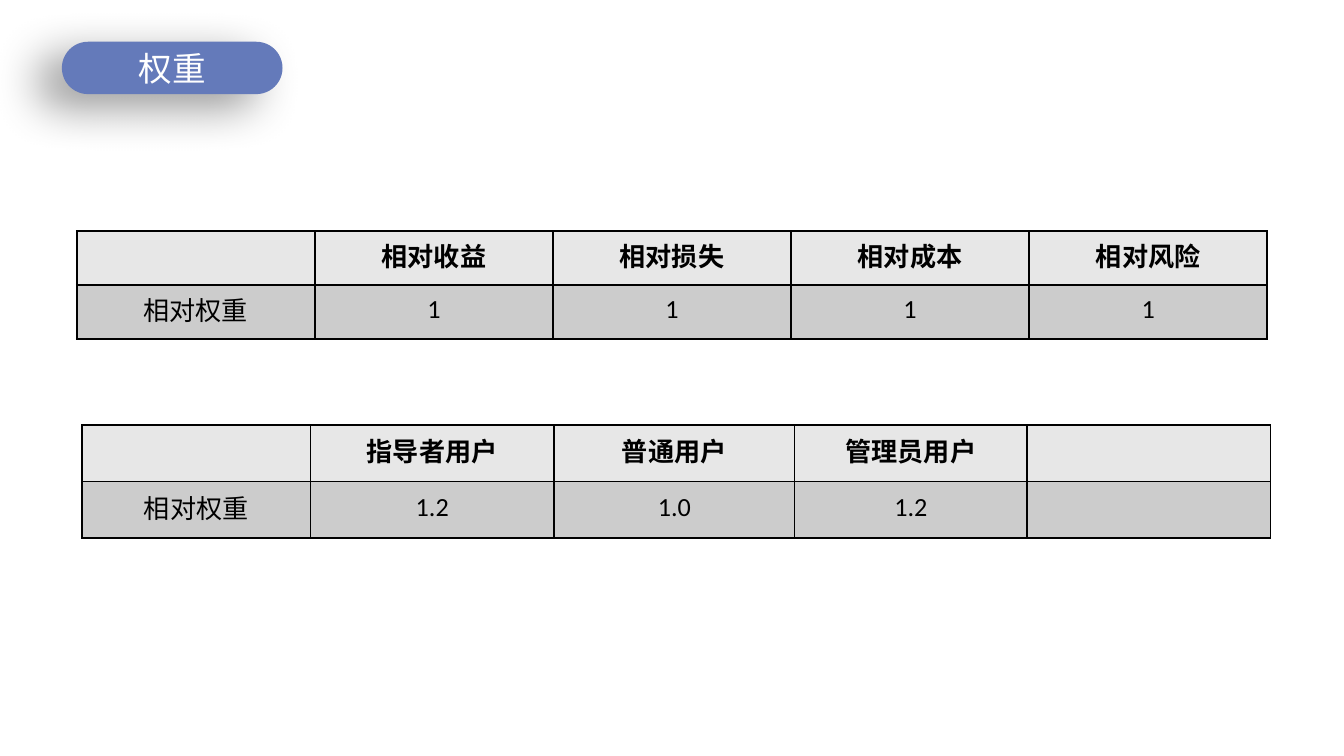
"""Build the weights slide: a pill title over two small weight tables."""
from dataclasses import dataclass

from lxml.etree import SubElement as Sub
from pptx import Presentation as Deck
from pptx.dml.color import RGBColor as Rgb
from pptx.enum.shapes import MSO_SHAPE as Shape
from pptx.enum.text import MSO_ANCHOR as Anchor, PP_ALIGN as Align
from pptx.oxml.ns import qn
from pptx.util import Cm, Pt


@dataclass(frozen=True)
class Theme:
    """Hold the colours, font and type sizes."""
    pill: str = "647ABA"
    head: str = "E7E7E7"
    body: str = "CCCCCC"
    dark: str = "000000"
    light: str = "FFFFFF"
    font: str = "Calibri"
    title: int = 18
    cell: int = 14


THEME = Theme()


def paint(item, tone):
    """Give a shape or cell a solid fill."""
    item.fill.solid()
    item.fill.fore_color.rgb = Rgb.from_string(tone)


def write(frame, text, size, tone, bold=False):
    """Add one centred run to the first paragraph."""
    para = frame.paragraphs[0]
    para.alignment = Align.CENTER
    run = para.add_run()
    run.text = text
    font = run.font
    font.name, font.size, font.bold = THEME.font, Pt(size), bold
    font.color.rgb = Rgb.from_string(tone)


def tint(parent, tone):
    """Append an RGB colour element and return it."""
    return Sub(parent, qn("a:srgbClr"), val=tone)


def cast(shape):
    """Add a soft shadow to the lower left."""
    shape.shadow.inherit = False
    effects = shape.element.spPr.find(qn("a:effectLst"))
    shade = Sub(effects, qn("a:outerShdw"), blurRad=str(Pt(25)),
                dist=str(Pt(15)), dir=str(150 * 60000), rotWithShape="0")
    Sub(tint(shade, THEME.dark), qn("a:alpha"), val="40000")


def rule(cell):
    """Draw a thin line on all four sides of a cell."""
    props = cell._tc.get_or_add_tcPr()
    for side in "LRTB":
        line = Sub(props, qn(f"a:ln{side}"), w=str(Pt(1)))
        tint(Sub(line, qn("a:solidFill")), THEME.dark)


def add_title(slide, text):
    """Place the title on a shadowed pill."""
    box = Cm(1.17), Cm(0.79), Cm(4.17), Cm(0.99)
    pill = slide.shapes.add_shape(Shape.ROUNDED_RECTANGLE, *box)
    pill.adjustments[0] = 0.5
    paint(pill, THEME.pill)
    pill.line.fill.background()
    cast(pill)
    title = slide.shapes.title
    title.left, title.top, title.width, title.height = box
    slide.shapes._spTree.append(title.element)
    frame = title.text_frame
    frame.vertical_anchor = Anchor.MIDDLE
    write(frame, text, THEME.title, THEME.light)


def add_grid(slide, left, top, widths, height, rows):
    """Add a table with a bold head row and a plain value row."""
    grid = slide.shapes.add_table(
        len(rows), len(widths), Cm(left), Cm(top),
        Cm(sum(widths)), Cm(height * len(rows))).table
    for col, width in zip(grid.columns, widths):
        col.width = Cm(width)
    for r, row in enumerate(rows):
        grid.rows[r].height = Cm(height)
        for c, text in enumerate(row):
            cell = grid.cell(r, c)
            cell.margin_left = cell.margin_right = cell.margin_top = Cm(0.03)
            cell.margin_bottom = Cm(0.13)
            cell.vertical_anchor = Anchor.MIDDLE
            rule(cell)
            paint(cell, THEME.body if r else THEME.head)
            if text:
                write(cell.text_frame, text, THEME.cell, THEME.dark, r == 0)


def main():
    """Assemble and save the slide."""
    deck = Deck()
    deck.slide_width, deck.slide_height = Cm(25.4), Cm(14.29)
    slide = deck.slides.add_slide(deck.slide_layouts[5])
    add_grid(slide, 1.45, 4.37, [4.5] * 5, 1.02, [
        ["", "相对收益", "相对损失", "相对成本", "相对风险"],
        ["相对权重"] + ["1"] * 4])
    add_grid(slide, 1.55, 8.03, [4.32, 4.6, 4.55, 4.39, 4.6], 1.07, [
        ["", "指导者用户", "普通用户", "管理员用户", ""],
        ["相对权重", "1.2", "1.0", "1.2", ""]])
    add_title(slide, "权重")
    deck.save("out.pptx")


if __name__ == "__main__":
    main()
